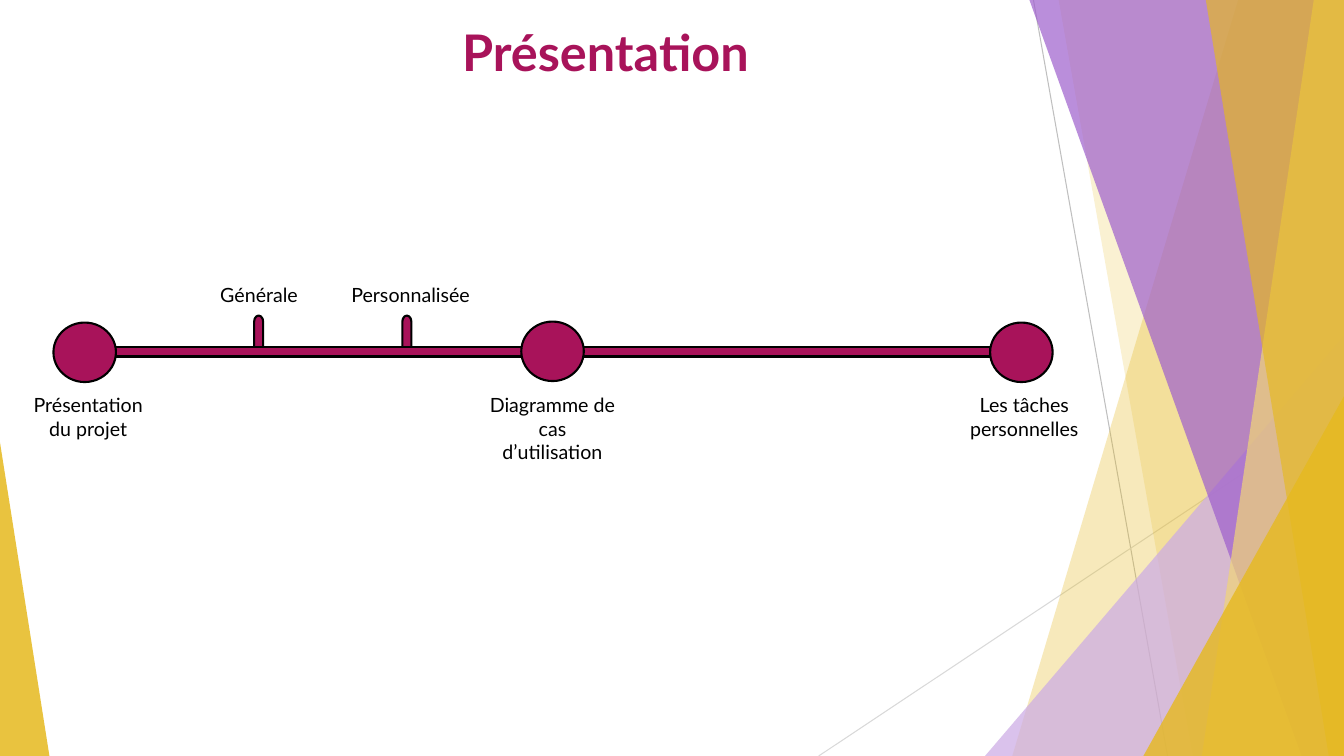
from lxml import etree
from pptx import Presentation
from pptx.dml.color import RGBColor
from pptx.enum.shapes import MSO_CONNECTOR, MSO_SHAPE
from pptx.enum.text import PP_ALIGN
from pptx.oxml.ns import qn
from pptx.util import Inches, Pt

STRAIGHT = MSO_CONNECTOR.STRAIGHT
TRIANGLE, RECT = MSO_SHAPE.ISOSCELES_TRIANGLE, MSO_SHAPE.RECTANGLE
ELLIPSE, TICK = MSO_SHAPE.OVAL, MSO_SHAPE.FLOWCHART_TERMINATOR
CENTER, RIGHT = PP_ALIGN.CENTER, PP_ALIGN.RIGHT
W, H = 13.33, 7.5
GOLD, BERRY, BLACK, WHITE = "E6B91E", "A8135A", "000000", "FFFFFF"


def paint(sp, fill, alpha=100, outline=None):
    sp.shadow.inherit = False
    sp.fill.solid()
    sp.fill.fore_color.rgb = RGBColor.from_string(fill)
    if alpha < 100:
        clr = sp.fill._xPr.find(qn("a:solidFill"))[0]
        etree.SubElement(clr, qn("a:alpha"), val=str(alpha * 1000))
    if outline:
        sp.line.color.rgb = RGBColor.from_string(outline)
        sp.line.width = Pt(1.5)
    else:
        sp.line.fill.background()


def add_text(text, box, align=CENTER, **font):
    tf = s.shapes.add_textbox(*map(Inches, box)).text_frame
    tf.word_wrap = True
    p = tf.paragraphs[0]
    p.alignment = align
    r = p.add_run()
    r.text = text
    color = font.pop("color", BLACK)
    r.font.color.rgb = RGBColor.from_string(color)
    for name, value in {"name": "Lato", "size": Pt(14), **font}.items():
        setattr(r.font, name, value)


prs = Presentation()
prs.slide_width, prs.slide_height = Inches(W), Inches(H)
s = prs.slides.add_slide(prs.slide_layouts[6])

# Thin background lines
for ends, color in [((10.25, 0, 11.58, H), "BFBFBF"),
                    ((W, 4.03, 8.12, H), "D9D9D9")]:
    line = s.shapes.add_connector(STRAIGHT, *map(Inches, ends))
    line.line.color.rgb = RGBColor.from_string(color)
    line.line.width = Pt(0.75)
    etree.SubElement(line._element.spPr, qn("a:effectLst"))

# Facets: bands run from top x to bottom x and reach the right edge,
# triangles are (left, top, width, apex position)
facets = [
    ("band", (12.28, 10.04), GOLD, 30),
    ("band", (10.5, 11.83), GOLD, 20),
    ("triangle", (9.77, 3.33, 3.56, 1), "CCABE5", 72),
    ("band", (10.21, 12.91), "9E5FCD", 70),
    ("band", (13.03, 11.92), "F0D578", 70),
    ("band", (11.96, 13.18), GOLD, 65),
    ("triangle", (11.34, 3.93, 1.99, 1), GOLD, 80),
    ("triangle", (0, 4.39, 0.49, 0), GOLD, 85),
]
for kind, place, color, alpha in facets:
    if kind == "band":
        top_x, bottom_x = place
        outline = s.shapes.build_freeform(Inches(top_x), 0)
        corners = [(W, 0), (W, H), (bottom_x, H)]
        outline.add_line_segments([(Inches(x), Inches(y)) for x, y in corners])
        sp = outline.convert_to_shape()
    else:
        x, y, w, apex = place
        sp = s.shapes.add_shape(TRIANGLE, Inches(x), Inches(y),
                                Inches(w), Inches(H - y))
        sp.adjustments[0] = apex
    paint(sp, color, alpha)

# Title
add_text("Présentation", (3.75, 0.16, 4.51, 0.71),
         size=Pt(36), bold=True, color=BERRY)

# Timeline: ticks, track, progress bar and milestones
timeline = [
    (TICK, (3.84, 3.28, 0.39, 0.09), BERRY),
    (TICK, (2.37, 3.28, 0.39, 0.09), BERRY),
    (RECT, (1.14, 3.44, 8.68, 0.1), WHITE),
    (ELLIPSE, (9.82, 3.2, 0.62, 0.59), BERRY),
    (RECT, (1.12, 3.44, 8.7, 0.09), BERRY),
    (ELLIPSE, (0.53, 3.2, 0.62, 0.59), BERRY),
    (ELLIPSE, (5.17, 3.19, 0.62, 0.59), BERRY),
]
for kind, box, color in timeline:
    sp = s.shapes.add_shape(kind, *map(Inches, box))
    paint(sp, color, outline=BLACK)
    if kind == TICK:
        sp.rotation = 270

# Labels
for text, box, align in [
    ("Présentation du projet", (0.22, 3.85, 1.31, 0.57), CENTER),
    ("Générale", (1.95, 2.76, 1.24, 0.34), CENTER),
    ("Personnalisée", (3.32, 2.76, 1.44, 0.34), RIGHT),
    ("Diagramme de cas d’utilisation", (4.76, 3.85, 1.44, 0.81), CENTER),
    ("Les tâches personnelles", (9.51, 3.85, 1.3, 0.57), CENTER),
]:
    add_text(text, box, align)

prs.save("out.pptx")
